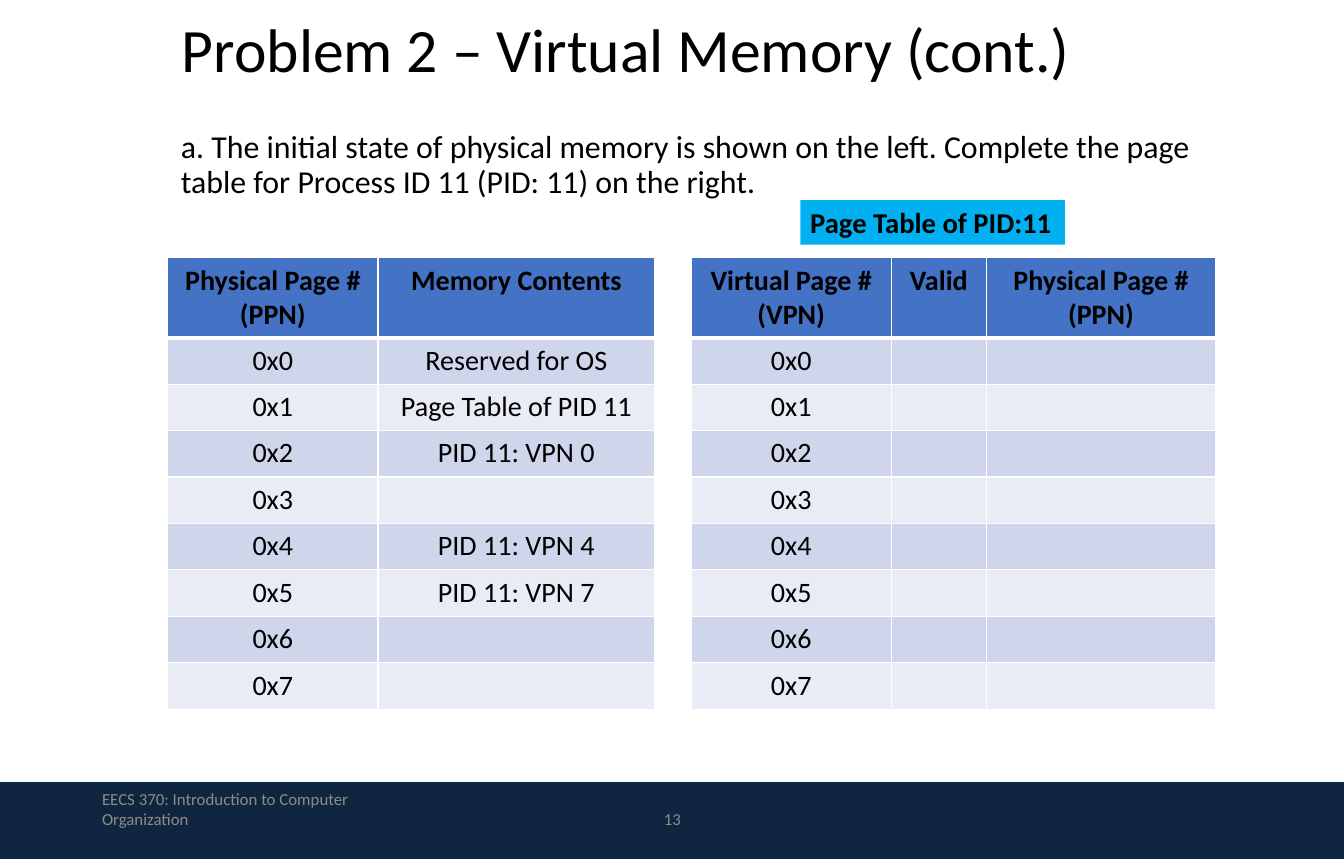
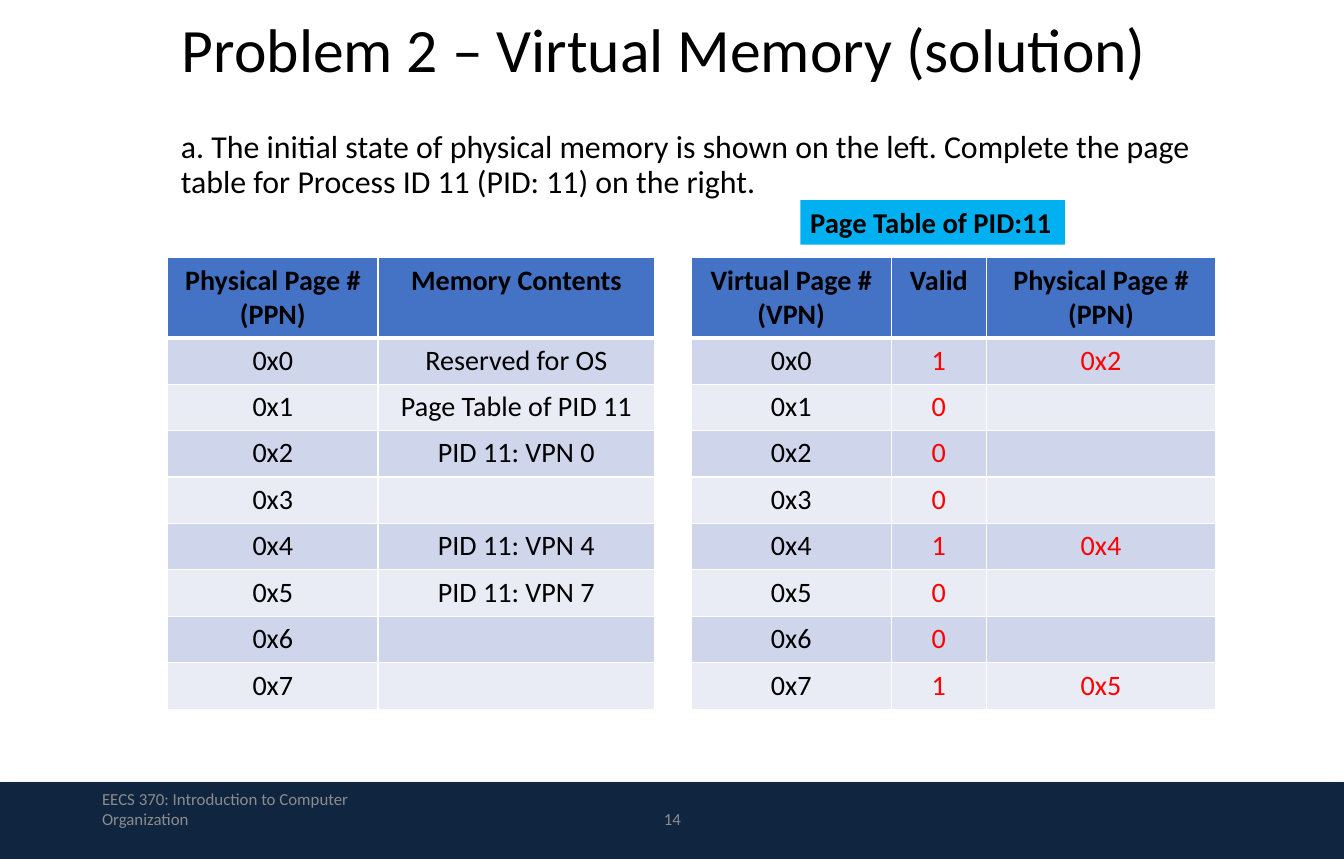
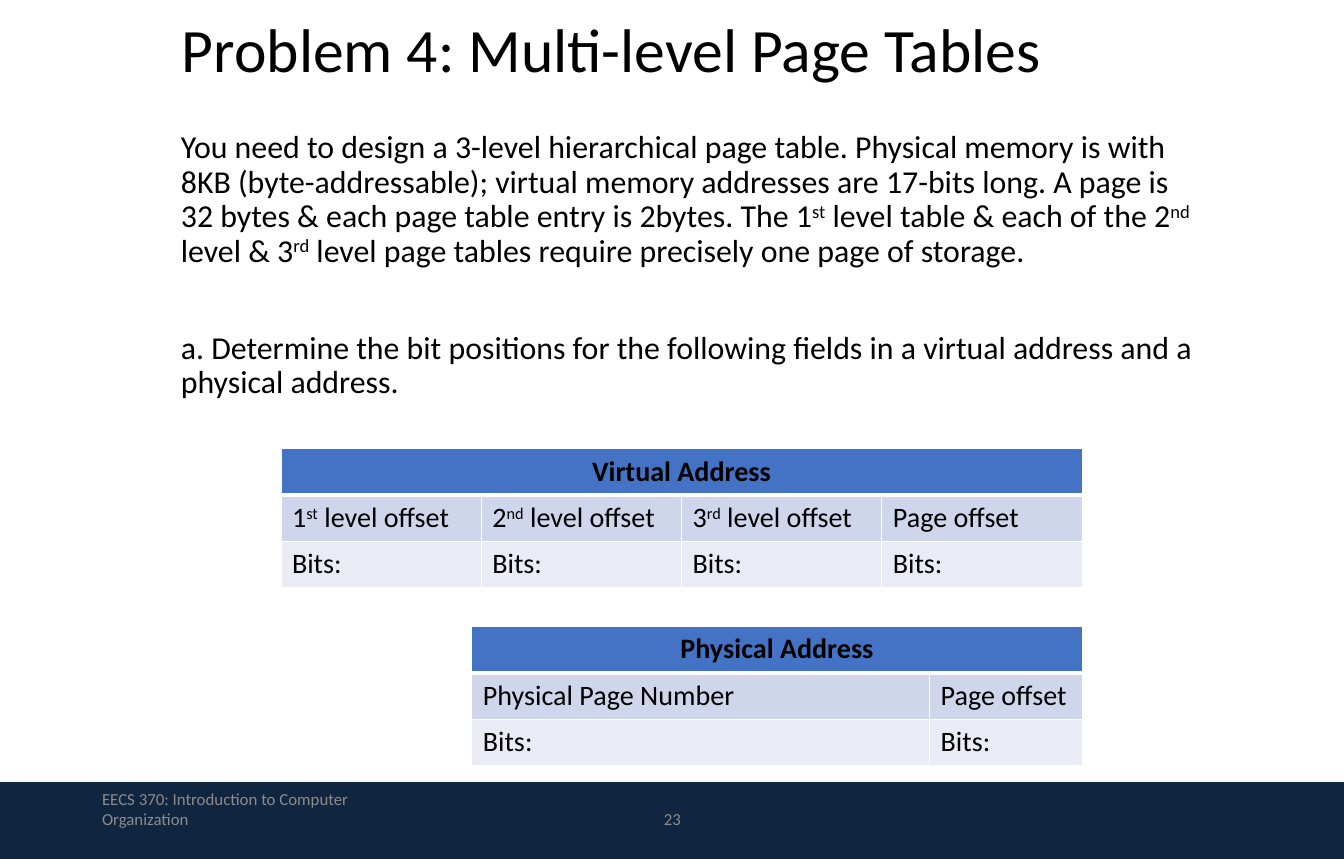
from collections import namedtuple
from dataclasses import dataclass

from lxml import etree
from pptx import Presentation
from pptx.dml.color import RGBColor
from pptx.enum import shapes, text
from pptx.oxml import ns
from pptx.util import Pt

Box = namedtuple("Box", "left top width height")


@dataclass(frozen=True)
class Theme:
    font: str = "Calibri"
    ink: str = "000000"
    answer: str = "FF0000"
    footer: str = "8C8C8C"
    band: str = "10253F"
    shadow: str = "808080"
    label: str = "00B0F0"
    header: str = "4472C4"
    stripes: tuple = ("CFD5EA", "E9EBF5")
    rule: str = "FFFFFF"
    title_size: float = 43.9
    body_size: float = 22.7
    label_size: float = 20.4
    table_size: float = 20
    footer_size: float = 12


THEME = Theme()
SLIDE = Box(0, 0, 957.6, 612)
BAND = Box(0, 557.3, SLIDE.width, 54.7)
FOOTER = Box(65.5, 567.4, 215.3, 32.4)
NUMBER = Box(317.5, 567.4, 323.3, 32.4)
BODY_LEFT, BODY_TOP, BODY_HEIGHT = 121.7, 90, 483.1
HEADER_ROW, ROW = 57, 33.1
FOOTER_INDEX, NUMBER_INDEX = 11, 12
COURSE = "EECS 370: Introduction to Computer Organization"
PAGE_TASK = ("a. The initial state of physical memory is shown on the left. Complete the page "
             "table for Process ID 11 (PID: 11) on the right.")
PAGES = [f"0x{page}" for page in range(8)]
CONTENTS = ["Reserved for OS", "Page Table of PID 11", "PID 11: VPN 0", "",
            "PID 11: VPN 4", "PID 11: VPN 7", "", ""]
MAPPING = {0: "0x2", 4: "0x4", 7: "0x5"}


def in_points(box):
    return [Pt(length) for length in box]


def place(shape, box):
    shape.left, shape.top, shape.width, shape.height = in_points(box)


def paint(fill, color):
    fill.solid()
    fill.fore_color.rgb = RGBColor.from_string(color)


def write(paragraph, content, size, color=THEME.ink, bold=False, align=text.PP_ALIGN.LEFT):
    """Fill a paragraph; parts between ^ marks are superscript."""
    paragraph.alignment = align
    font = paragraph.font
    font.name, font.size, font.bold = THEME.font, Pt(size), bold
    font.color.rgb = RGBColor.from_string(color)
    for index, part in enumerate(content.split("^")):
        if part:
            run = paragraph.add_run()
            run.text = part
            if index % 2:
                run._r.get_or_add_rPr().set("baseline", "30000")


def add_band(presentation, slide):
    """Draw the bottom band and move it to the back of the slide master."""
    band = slide.shapes.add_shape(shapes.MSO_SHAPE.RECTANGLE, *in_points(BAND))
    paint(band.fill, THEME.band)
    band.line.fill.background()
    band.shadow.inherit = False
    effects = band.element.spPr.find(ns.qn("a:effectLst"))
    shadow = etree.SubElement(effects, ns.qn("a:outerShdw"), blurRad=str(Pt(3.1)),
                              dist=str(Pt(1.8)), dir="5400000", rotWithShape="0")
    color = etree.SubElement(shadow, ns.qn("a:srgbClr"), val=THEME.shadow)
    etree.SubElement(color, ns.qn("a:alpha"), val="35000")
    presentation.slide_master.shapes.element.insert(2, band.element)


def add_title(slide, content, width):
    title = slide.shapes.title
    place(title, Box(122.4, 0, width, 74.9))
    frame = title.text_frame
    frame.auto_size = text.MSO_AUTO_SIZE.NONE
    frame.vertical_anchor = text.MSO_ANCHOR.MIDDLE
    frame.paragraphs[0].line_spacing = 0.9
    write(frame.paragraphs[0], content, THEME.title_size)


def add_body(slide, paragraphs, width, gap=10):
    """Fill the body; gap is the space before each paragraph after the first."""
    body = slide.placeholders[1]
    place(body, Box(BODY_LEFT, BODY_TOP, width, BODY_HEIGHT))
    frame = body.text_frame
    frame.auto_size = text.MSO_AUTO_SIZE.NONE
    for index, content in enumerate(paragraphs):
        paragraph = frame.add_paragraph() if index else frame.paragraphs[0]
        paragraph.line_spacing = 0.9
        paragraph.space_before = Pt(gap if index else 10)
        write(paragraph, content, THEME.body_size)
        properties = paragraph._p.get_or_add_pPr()
        properties.set("marL", "0")
        properties.set("indent", "0")
        properties.insert_element_before(
            etree.Element(ns.qn("a:buNone")), "a:tabLst", "a:defRPr", "a:extLst")


def add_footers(slide, number):
    parts = {FOOTER_INDEX: (COURSE, FOOTER, text.PP_ALIGN.LEFT, 18.2),
             NUMBER_INDEX: (str(number), NUMBER, text.PP_ALIGN.CENTER, 3.6)}
    for placeholder in slide.slide_layout.placeholders:
        index = placeholder.placeholder_format.idx
        if index not in parts:
            continue
        content, box, align, bottom = parts[index]
        slide.shapes.clone_placeholder(placeholder)
        footer = slide.placeholders[index]
        place(footer, box)
        frame = footer.text_frame
        frame.vertical_anchor = text.MSO_ANCHOR.MIDDLE
        frame.margin_bottom = Pt(bottom)
        write(frame.paragraphs[0], content, THEME.footer_size, THEME.footer, align=align)


def add_label(slide, content, box):
    label = slide.shapes.add_shape(shapes.MSO_SHAPE.RECTANGLE, *in_points(box))
    paint(label.fill, THEME.label)
    label.line.fill.background()
    label.shadow.inherit = False
    label.text_frame.word_wrap = False
    label.text_frame.auto_size = text.MSO_AUTO_SIZE.SHAPE_TO_FIT_TEXT
    write(label.text_frame.paragraphs[0], content, THEME.label_size, bold=True)


def set_borders(cell, top, bottom):
    properties = cell._tc.get_or_add_tcPr()
    for index, (side, width) in enumerate(
            [("lnL", 1), ("lnR", 1), ("lnT", top), ("lnB", bottom)]):
        line = etree.Element(ns.qn(f"a:{side}"), w=str(Pt(width)))
        fill = etree.SubElement(line, ns.qn("a:solidFill"))
        etree.SubElement(fill, ns.qn("a:srgbClr"), val=THEME.rule)
        properties.insert(index, line)


def add_table(slide, left, top, widths, rows, header_height=ROW,
              align=text.PP_ALIGN.CENTER, answers_from=None):
    """Add a striped table; a single header spans all columns.

    Body columns from answers_from on are written in the answer colour.
    """
    heights = [header_height] + [ROW] * (len(rows) - 1)
    box = Box(left, top, sum(widths), sum(heights))
    table = slide.shapes.add_table(len(rows), len(widths), *in_points(box)).table
    table.horz_banding = False
    for column, width in zip(table.columns, widths):
        column.width = Pt(width)
    for row, height in zip(table.rows, heights):
        row.height = Pt(height)
    if len(rows[0]) == 1:
        table.cell(0, 0).merge(table.cell(0, len(widths) - 1))
    for row_index, row in enumerate(table.rows):
        is_header = row_index == 0
        for column_index, cell in enumerate(row.cells):
            cell.margin_left = cell.margin_right = Pt(7.9)
            cell.margin_top = cell.margin_bottom = Pt(4)
            paint(cell.fill, THEME.header if is_header else THEME.stripes[(row_index - 1) % 2])
            set_borders(cell, 3 if row_index == 1 else 1, 3 if is_header else 1)
            if cell.is_spanned:
                continue
            is_answer = (not is_header and answers_from is not None
                         and column_index >= answers_from)
            write(cell.text_frame.paragraphs[0], rows[row_index][column_index],
                  THEME.table_size, THEME.answer if is_answer else THEME.ink, is_header,
                  text.PP_ALIGN.CENTER if is_header else align)


def add_slide(presentation, title, title_width, number):
    slide = presentation.slides.add_slide(presentation.slide_layouts[1])
    add_title(slide, title, title_width)
    add_footers(slide, number)
    return slide


def add_page_table_slide(presentation, title, number, solved):
    slide = add_slide(presentation, title, 714.2, number)
    add_body(slide, [PAGE_TASK], 765.4)
    memory = [("Physical Page # (PPN)", "Memory Contents"), *zip(PAGES, CONTENTS)]
    add_table(slide, 119.5, 183.6, [149.8, 197.3], memory, HEADER_ROW)
    entries = [(page, str(int(index in MAPPING)), MAPPING.get(index, "")) if solved
               else (page, "", "") for index, page in enumerate(PAGES)]
    add_table(slide, 492.5, 183.6, [142.6, 67.7, 163.4],
              [("Virtual Page # (VPN)", "Valid", "Physical Page # (PPN)"), *entries],
              HEADER_ROW, answers_from=1)
    add_label(slide, "Page Table of PID:11", Box(570.2, 142.6, 188.6, 31.7))
    return slide


def add_address_slide(presentation, number):
    slide = add_slide(presentation, "Problem 4: Multi-level Page Tables", 744.5, number)
    add_body(slide, [
        "You need to design a 3-level hierarchical page table. Physical memory is with 8KB "
        "(byte-addressable); virtual memory addresses are 17-bits long. A page is 32 bytes & "
        "each page table entry is 2bytes. The 1^st^ level table & each of the 2^nd^ level & "
        "3^rd^ level page tables require precisely one page of storage.",
        "a. Determine the bit positions for the following fields in a virtual address and a "
        "physical address."], 738, gap=44.5)
    levels = [f"{level} level offset" for level in ("1^st^", "2^nd^", "3^rd^")]
    for left, top, widths, name, fields in [
            (200.2, 319.7, [142.7] * 4, "Virtual Address", [*levels, "Page offset"]),
            (336.2, 446.4, [326.2, 108.7], "Physical Address",
             ["Physical Page Number", "Page offset"])]:
        add_table(slide, left, top, widths, [[name], fields, ["Bits:"] * len(fields)],
                  align=text.PP_ALIGN.LEFT)


def main():
    presentation = Presentation()
    presentation.slide_width, presentation.slide_height = Pt(SLIDE.width), Pt(SLIDE.height)
    first = add_page_table_slide(
        presentation, "Problem 2 – Virtual Memory (cont.)", 13, solved=False)
    add_band(presentation, first)
    add_page_table_slide(presentation, "Problem 2 – Virtual Memory (solution)", 14, solved=True)
    add_address_slide(presentation, 23)
    presentation.save("out.pptx")


if __name__ == "__main__":
    main()
